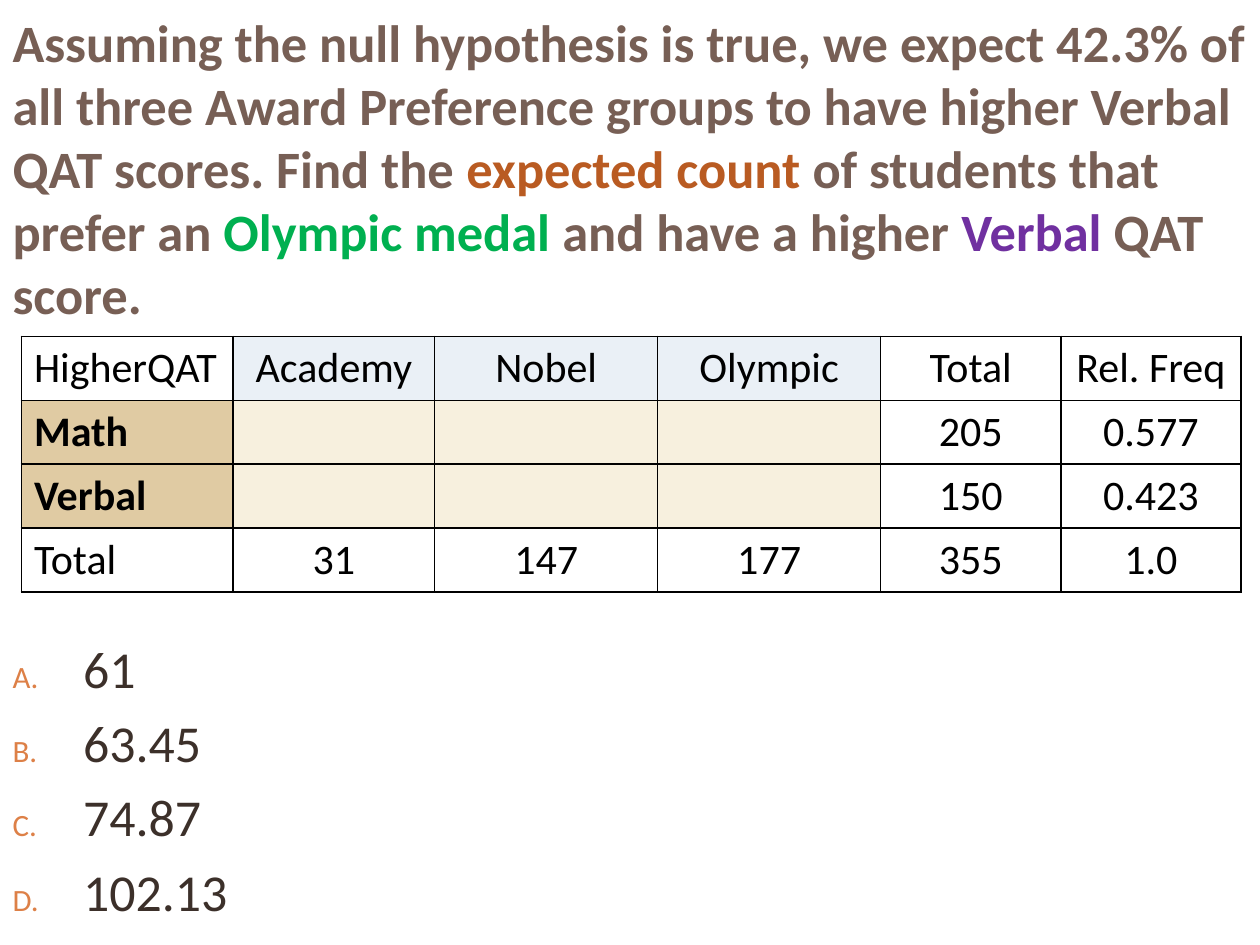
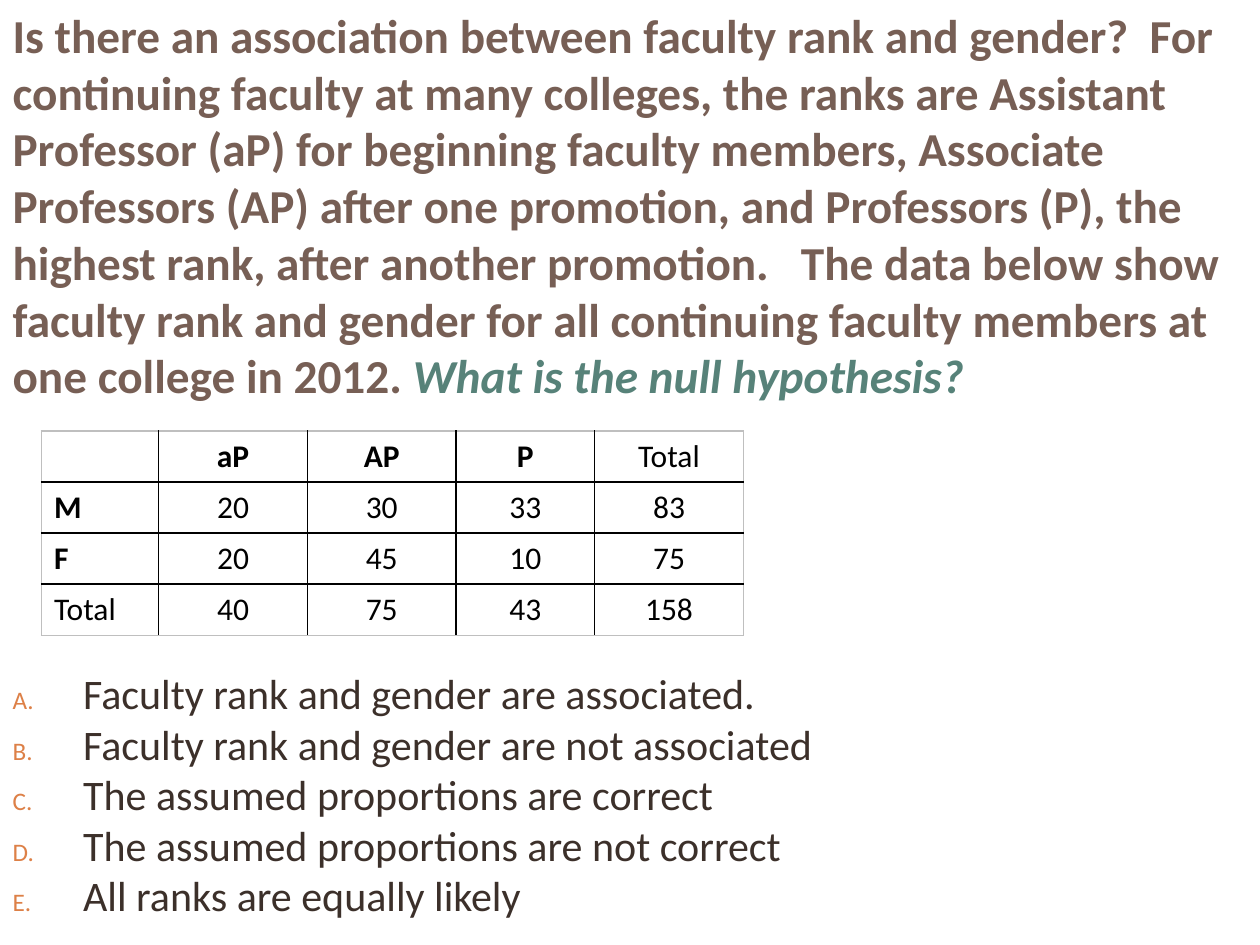
from dataclasses import dataclass

from lxml import etree
from pptx import Presentation
from pptx.dml.color import RGBColor
from pptx.enum.text import MSO_ANCHOR, MSO_AUTO_SIZE, PP_ALIGN
from pptx.oxml.ns import qn
from pptx.util import Inches, Pt

LEFT, CENTER = PP_ALIGN.LEFT, PP_ALIGN.CENTER
TOP, MIDDLE = MSO_ANCHOR.TOP, MSO_ANCHOR.MIDDLE
NO_AUTOFIT = MSO_AUTO_SIZE.NONE
TITLE_AND_CONTENT = 1


@dataclass(frozen=True)
class Theme:
    font: str = "Calibri"
    # Text colours
    title: str = "775F55"
    body: str = "3C302A"
    bullet: str = "DD8047"
    rust: str = "B95B22"
    green: str = "00B050"
    purple: str = "7030A0"
    teal: str = "578279"
    # Table colours
    ink: str = "000000"
    soft_edge: str = "BFBFBF"
    header_fill: str = "EAF0F6"
    label_fill: str = "E0CBA3"
    blank_fill: str = "F7F0DE"
    # Type sizes in points and list format
    award_title: float = 30
    award_answers: float = 29.6
    award_table: float = 24
    rank_title: float = 27
    rank_answers: float = 24
    rank_table: float = 18
    bullet_percent: int = 60
    indent: float = 0.56


def set_all(target, values):
    for name, value in values.items():
        setattr(target, name, value)


class QuizDeck:
    """Holds the theme and the slide being filled."""

    def __init__(self, theme):
        self.theme = theme
        self.deck = Presentation()
        set_all(self.deck, {"slide_width": Inches(10), "slide_height": Inches(7.5)})
        self.slide = None

    def new_slide(self):
        layout = self.deck.slide_layouts[TITLE_AND_CONTENT]
        self.slide = self.deck.slides.add_slide(layout)

    def style_font(self, font, size, color, **extras):
        set_all(font, {"name": self.theme.font, "size": Pt(size), **extras})
        font.color.rgb = RGBColor.from_string(color)

    def place(self, holder, box, anchor):
        edges = ("left", "top", "width", "height")
        set_all(holder, dict(zip(edges, map(Inches, box))))
        frame = holder.text_frame
        set_all(frame, {"word_wrap": True, "auto_size": NO_AUTOFIT,
                        "vertical_anchor": anchor})
        return frame

    def question(self, box, size, pieces):
        """Title made of (text, colour, italic) pieces."""
        paragraph = self.place(self.slide.shapes.title, box, MIDDLE).paragraphs[0]
        paragraph.alignment = LEFT
        for text, color, italic in pieces:
            run = paragraph.add_run()
            run.text = text
            self.style_font(run.font, size, color, bold=True, italic=italic)

    def add_letter(self, paragraph):
        props = paragraph._p.get_or_add_pPr()
        indent = Inches(self.theme.indent)
        props.set("marL", str(indent))
        props.set("indent", str(-indent))
        color = etree.SubElement(props, qn("a:buClr"))
        etree.SubElement(color, qn("a:srgbClr"), val=self.theme.bullet)
        percent = str(self.theme.bullet_percent * 1000)
        etree.SubElement(props, qn("a:buSzPct"), val=percent)
        etree.SubElement(props, qn("a:buAutoNum"), type="alphaUcPeriod")

    def answers(self, box, size, choices, gap=0):
        """Lettered list of choices."""
        frame = self.place(self.slide.placeholders[1], box, TOP)
        for index, choice in enumerate(choices):
            paragraph = frame.add_paragraph() if index else frame.paragraphs[0]
            self.add_letter(paragraph)
            paragraph.space_before = Pt(gap if index else 0)
            run = paragraph.add_run()
            run.text = choice
            self.style_font(run.font, size, self.theme.body)

    def border(self, cell, colors):
        """Cell edges, in the order left, right, top, bottom."""
        props = cell._tc.get_or_add_tcPr()
        for index, (side, color) in enumerate(zip("LRTB", colors)):
            line = etree.Element(qn(f"a:ln{side}"), w=str(Pt(1)))
            fill = etree.SubElement(line, qn("a:solidFill"))
            etree.SubElement(fill, qn("a:srgbClr"), val=color)
            props.insert(index, line)

    def counts(self, corner, widths, row_height, size, rows, bold, edge, fill_for):
        """Two-way table; fill_for(row, column) gives a colour or None."""
        last_row, last_column = len(rows) - 1, len(widths) - 1
        frame = self.slide.shapes.add_table(
            len(rows), len(widths), *map(Inches, corner),
            Inches(sum(widths)), Inches(row_height * len(rows)))
        table = frame.table
        set_all(table, {"first_row": False, "horz_banding": False})
        for column, width in zip(table.columns, widths):
            column.width = Inches(width)
        for r, row in enumerate(rows):
            for c, text in enumerate(row):
                cell = table.cell(r, c)
                paragraph = cell.text_frame.paragraphs[0]
                paragraph.alignment = CENTER if c else LEFT
                self.style_font(paragraph.font, size, self.theme.ink)
                if text:
                    run = paragraph.add_run()
                    run.text = text
                    self.style_font(run.font, size, self.theme.ink,
                                    bold=text in bold)
                color = fill_for(r, c)
                if color:
                    cell.fill.solid()
                    cell.fill.fore_color.rgb = RGBColor.from_string(color)
                else:
                    cell.fill.background()
                outer = (c == 0, c == last_column, r == 0, r == last_row)
                self.border(cell, [edge if is_outer else self.theme.ink
                                   for is_outer in outer])


def award_slide(quiz):
    theme = quiz.theme
    quiz.new_slide()
    # Question
    quiz.question((0, 0.08, 10, 2.5), theme.award_title, [
        ("Assuming the null hypothesis is true, we expect 42.3% of all three "
         "Award Preference groups to have higher Verbal QAT scores. Find the ",
         theme.title, False),
        ("expected count ", theme.rust, False),
        ("of students that prefer an ", theme.title, False),
        ("Olympic medal ", theme.green, False),
        ("and have a higher ", theme.title, False),
        ("Verbal", theme.purple, False),
        (" QAT score.", theme.title, False),
    ])

    # Award counts, with the expected counts left blank
    def award_fill(row, column):
        if row == 0 and 1 <= column <= 3:
            return theme.header_fill
        if row in (1, 2) and column <= 3:
            return theme.blank_fill if column else theme.label_fill
        return None

    award_rows = [
        ("HigherQAT", "Academy", "Nobel", "Olympic", "Total", "Rel. Freq"),
        ("Math", "", "", "", "205", "0.577"),
        ("Verbal", "", "", "", "150", "0.423"),
        ("Total", "31", "147", "177", "355", "1.0"),
    ]
    quiz.counts((0.17, 2.67), (1.68, 1.6, 1.77, 1.77, 1.43, 1.43), 0.5,
                theme.award_table, award_rows, {"Math", "Verbal"},
                theme.ink, award_fill)
    # Choices
    quiz.answers((0, 5, 2.58, 2.25), theme.award_answers,
                 ("61", "63.45", "74.87", "102.13"), gap=7)


def rank_slide(quiz):
    theme = quiz.theme
    quiz.new_slide()
    # Question
    quiz.question((0, 0, 10, 3.25), theme.rank_title, [
        ("Is there an association between faculty rank and gender?  For "
         "continuing faculty at many colleges, the ranks are Assistant "
         "Professor (aP) for beginning faculty members, Associate Professors "
         "(AP) after one promotion, and Professors (P), the highest rank, "
         "after another promotion.   The data below show faculty rank and "
         "gender for all continuing faculty members at one college in 2012. ",
         theme.title, False),
        ("What is the null hypothesis?", theme.teal, True),
    ])
    # Faculty counts
    rank_rows = [
        ("", "aP", "AP", "P", "Total"),
        ("M", "20", "30", "33", "83"),
        ("F", "20", "45", "10", "75"),
        ("Total", "40", "75", "43", "158"),
    ]
    quiz.counts((0.33, 3.42), (0.93, 1.18, 1.18, 1.1, 1.18), 0.4,
                theme.rank_table, rank_rows, {"aP", "AP", "P", "M", "F"},
                theme.soft_edge, lambda row, column: None)
    # Choices
    quiz.answers((0, 5.25, 6.65, 2.25), theme.rank_answers, (
        "Faculty rank and gender are associated.",
        "Faculty rank and gender are not associated",
        "The assumed proportions are correct",
        "The assumed proportions are not correct",
        "All ranks are equally likely",
    ))


def main():
    quiz = QuizDeck(Theme())
    award_slide(quiz)
    rank_slide(quiz)
    quiz.deck.save("out.pptx")


if __name__ == "__main__":
    main()
